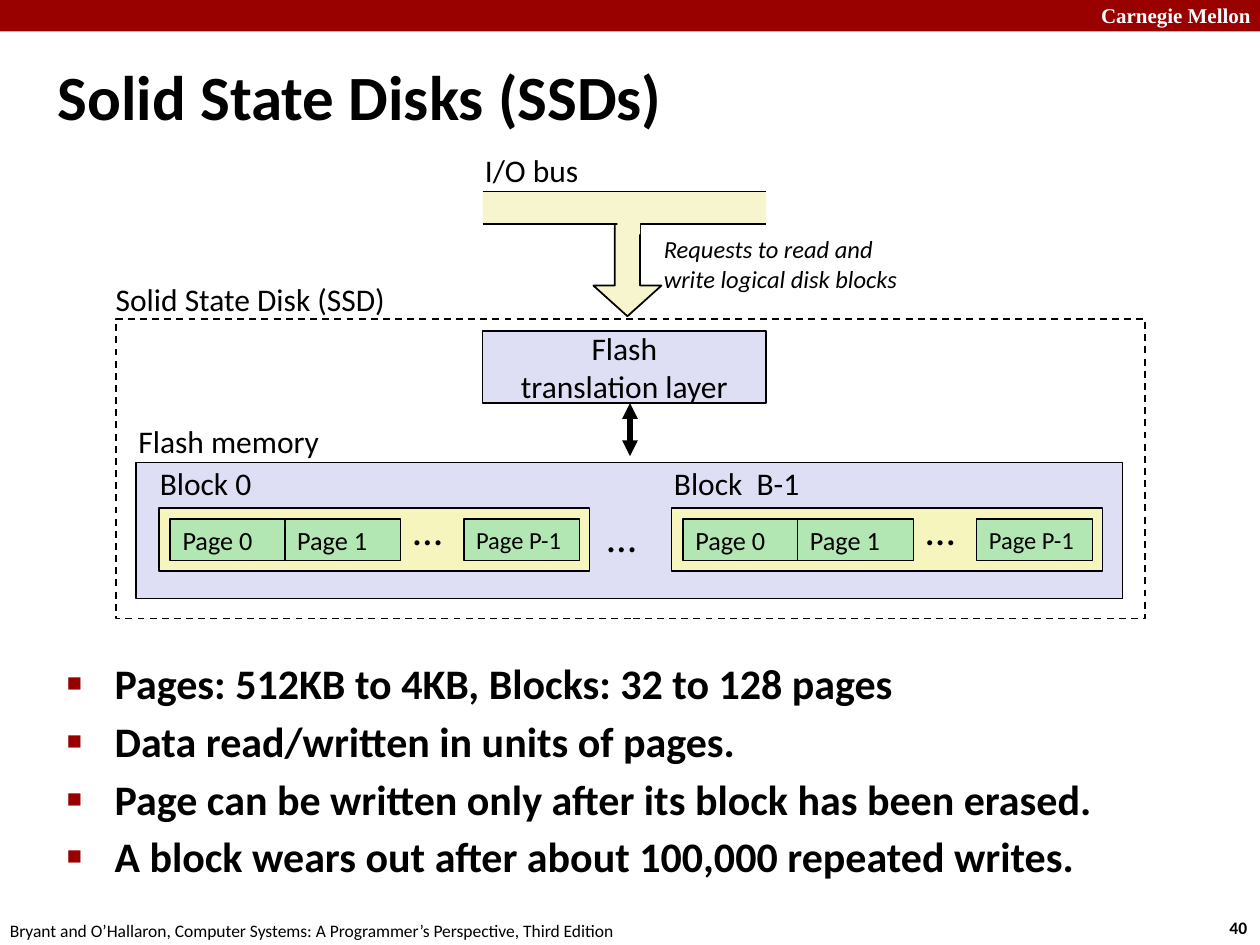
import pptx
import pptx.util
import pptx.dml.color
import pptx.enum.dml
import pptx.enum.shapes
import pptx.enum.text
import pptx.oxml.ns
import lxml.etree

Inches = pptx.util.Inches
Pt = pptx.util.Pt
Color = pptx.dml.color.RGBColor
Shape = pptx.enum.shapes.MSO_SHAPE
Fit = pptx.enum.text.MSO_AUTO_SIZE
Mid = pptx.enum.text.MSO_ANCHOR.MIDDLE
Align = pptx.enum.text.PP_ALIGN
qn = pptx.oxml.ns.qn

BLACK = Color(0, 0, 0)
WHITE = Color(255, 255, 255)
RED = Color(0x99, 0, 0)
BLUE = Color(0xDE, 0xDF, 0xF5)
CREAM = Color(0xF7, 0xF5, 0xCD)
YELLOW = Color(0xF6, 0xF5, 0xBD)
GREEN = Color(0xB2, 0xE6, 0xB2)

deck = pptx.Presentation()
deck.slide_width = Inches(10)
deck.slide_height = Inches(7.5)
slide = deck.slides.add_slide(deck.slide_layouts[1])
shapes = slide.shapes


def write(frame, lines, size, face="Calibri", color=BLACK, bold=False, slant=False, align=Align.LEFT):
    for num, line in enumerate(lines):
        para = frame.add_paragraph() if num else frame.paragraphs[0]
        para.alignment = align
        run = para.add_run()
        run.text = line
        run.font.name = face
        run.font.size = Pt(size)
        run.font.bold = bold
        run.font.italic = slant
        run.font.color.rgb = color


def draw(left, top, width, height, fill, line=BLACK, kind=Shape.RECTANGLE):
    shape = shapes.add_shape(kind, Inches(left), Inches(top), Inches(width), Inches(height))
    shape.shadow.inherit = False
    if fill is None:
        shape.fill.background()
    else:
        shape.fill.solid()
        shape.fill.fore_color.rgb = fill
    if line is None:
        shape.line.fill.background()
    else:
        shape.line.color.rgb = line
        shape.line.width = Pt(1)
    return shape


draw(0, 0, 10, 0.25, RED, None)

title = shapes.title
title.left, title.top, title.width, title.height = Inches(0.36), Inches(0.34), Inches(8.3), Inches(0.83)
title.text_frame.vertical_anchor = Mid
title.text_frame.auto_size = Fit.NONE
write(title.text_frame, ["Solid State Disks (SSDs)"], 36, bold=True)

body = slide.placeholders[1]
body.left, body.top, body.width, body.height = Inches(0.43), Inches(5.17), Inches(8.64), Inches(2.08)
body.text_frame.auto_size = Fit.NONE
write(body.text_frame, [
    "Pages: 512KB to 4KB, Blocks: 32 to 128 pages",
    "Data read/written in units of pages.",
    "Page can be written only after its block has been erased.",
    "A block wears out after about 100,000 repeated writes.",
], 24, bold=True)
for num, para in enumerate(body.text_frame.paragraphs):
    props = para._p.get_or_add_pPr()
    props.set("marL", str(Inches(0.38)))
    props.set("indent", str(Inches(-0.38)))
    tint = lxml.etree.SubElement(props, qn("a:buClr"))
    lxml.etree.SubElement(tint, qn("a:srgbClr")).set("val", str(RED))
    lxml.etree.SubElement(props, qn("a:buSzPct")).set("val", "60000")
    lxml.etree.SubElement(props, qn("a:buChar")).set("char", "■")
    para.space_before = Pt(4.2 if num else 0)

arrow = draw(4.71, 1.76, 0.54, 0.75, CREAM, kind=Shape.DOWN_ARROW)
arrow.adjustments[0] = 0.37
arrow.adjustments[1] = 0.45
draw(3.83, 1.52, 2.25, 0.26, CREAM, None)

links = [(3.83, 1.52, 6.08, 1.52, 1), (3.83, 1.78, 6.08, 1.78, 1), (5, 3.2, 5, 3.62, 3)]
for left, top, right, low, width in links:
    link = shapes.add_connector(pptx.enum.shapes.MSO_CONNECTOR.STRAIGHT,
                                Inches(left), Inches(top), Inches(right), Inches(low))
    link.line.color.rgb = BLACK
    link.line.width = Pt(width)
    lxml.etree.SubElement(link._element.spPr, qn("a:effectLst"))
edge = link.line._get_or_add_ln()
for end in ("a:headEnd", "a:tailEnd"):
    lxml.etree.SubElement(edge, qn(end)).set("type", "triangle")
draw(4.9, 1.69, 0.18, 0.17, CREAM, None)

layer = draw(3.83, 2.63, 2.25, 0.57, BLUE)
layer.text_frame.word_wrap = False
layer.text_frame.vertical_anchor = Mid
write(layer.text_frame, ["Flash", "translation layer"], 18, align=Align.CENTER)

draw(0.92, 2.53, 8.17, 2.38, None).line.dash_style = pptx.enum.dml.MSO_LINE.DASH
draw(1.08, 3.67, 7.83, 1.08, BLUE)

for left in (1.26, 5.33):
    draw(left, 4.03, 3.42, 0.5, YELLOW)
    for gap, name, size in ((0.09, "Page 0", 15), (1, "Page 1", 15), (2.42, "Page P-1", 14)):
        page = draw(left + gap, 4.12, 0.92, 0.33, GREEN)
        page.text_frame.word_wrap = False
        page.text_frame.vertical_anchor = Mid
        write(page.text_frame, [name], size)

labels = [
    (3.75, 1.15, 0.95, 0.4, "I/O bus", 18),
    (0.82, 2.17, 2.37, 0.4, "Solid State Disk (SSD)", 18),
    (1, 3.3, 1.65, 0.4, "Flash memory", 18),
    (1.17, 3.63, 0.94, 0.4, "Block 0", 18),
    (5.25, 3.63, 1.21, 0.4, "Block  B-1", 18),
    (3.18, 3.95, 0.44, 0.5, "…", 24),
    (4.72, 4, 0.44, 0.5, "…", 24),
    (7.25, 3.95, 0.44, 0.5, "…", 24),
    (-0.02, 7.25, 5.08, 0.27,
     "Bryant and O’Hallaron, Computer Systems: A Programmer’s Perspective, Third Edition", 10),
]
for left, top, width, height, text, size in labels:
    box = shapes.add_textbox(Inches(left), Inches(top), Inches(width), Inches(height))
    box.text_frame.word_wrap = False
    box.text_frame.auto_size = Fit.SHAPE_TO_FIT_TEXT
    write(box.text_frame, [text], size)

note = shapes.add_textbox(Inches(5.17), Inches(1.81), Inches(2.33), Inches(0.57))
note.text_frame.word_wrap = True
write(note.text_frame, ["Requests to read and", "write logical disk blocks"], 14, slant=True)

brand = shapes.add_textbox(Inches(8.64), Inches(-0.03), Inches(1.43), Inches(0.3))
brand.text_frame.word_wrap = True
write(brand.text_frame, ["Carnegie Mellon"], 12, "Times New Roman", WHITE, True)

count = shapes.add_textbox(Inches(9.66), Inches(7.23), Inches(0.37), Inches(0.27))
count.text_frame.word_wrap = False
write(count.text_frame, ["40"], 10, bold=True)

deck.save("out.pptx")
